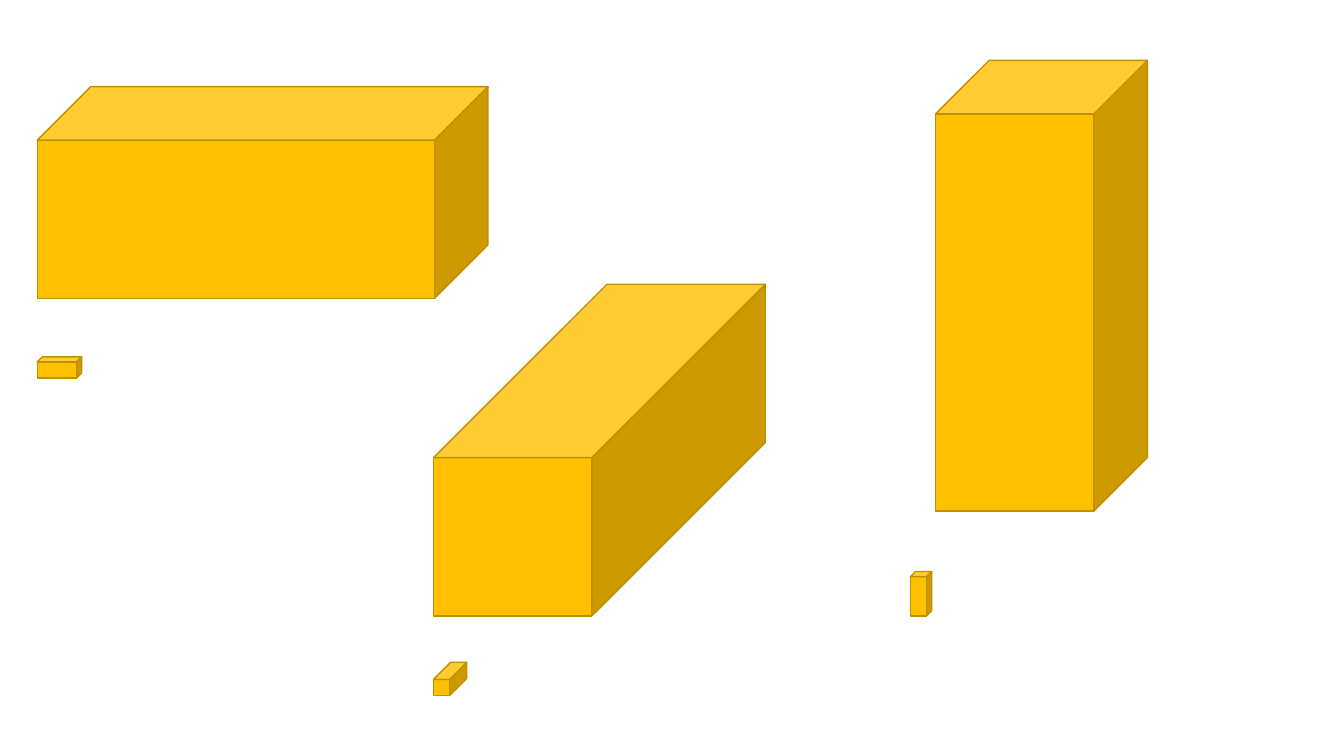
from pptx import Presentation
from pptx.dml.color import RGBColor
from pptx.enum.shapes import MSO_SHAPE
from pptx.util import Inches, Pt

COLORS = {"front": "FFC000", "side": "CD9A00", "top": "FFCC32", "edge": "BF9000"}


def paint(face, color):
    face.shadow.inherit = False
    face.fill.solid()
    face.fill.fore_color.rgb = RGBColor.from_string(COLORS[color])
    face.line.color.rgb = RGBColor.from_string(COLORS["edge"])
    face.line.width = Pt(1)


def add_face(shapes, corners, color):
    points = [(Inches(x), Inches(y)) for x, y in corners]
    outline = shapes.build_freeform(*points[0])
    outline.add_line_segments(points[1:], close=True)
    paint(outline.convert_to_shape(), color)


prs = Presentation()
prs.slide_width = Inches(13.33)
prs.slide_height = Inches(7.5)
slide = prs.slides.add_slide(prs.slide_layouts[6])

blocks = [
    (0.37, 1.39, 3.94, 1.57, 0.53),
    (4.3, 4.54, 1.57, 1.57, 1.72),
    (9.28, 1.13, 1.57, 3.94, 0.53),
    (0.37, 3.59, 0.39, 0.16, 0.05),
    (4.3, 6.74, 0.16, 0.16, 0.17),
    (9.03, 5.72, 0.16, 0.39, 0.05),
]

for left, top, width, height, depth in blocks:
    right, bottom = left + width, top + height
    back_left, back_right, back_top = left + depth, right + depth, top - depth
    block = slide.shapes.add_group_shape()
    add_face(block.shapes, [(right, top), (right, bottom),
                            (back_right, bottom - depth), (back_right, back_top)], "side")
    front = block.shapes.add_shape(MSO_SHAPE.RECTANGLE, Inches(left), Inches(top),
                                   Inches(width), Inches(height))
    paint(front, "front")
    add_face(block.shapes, [(left, top), (right, top),
                            (back_right, back_top), (back_left, back_top)], "top")

prs.save("out.pptx")
